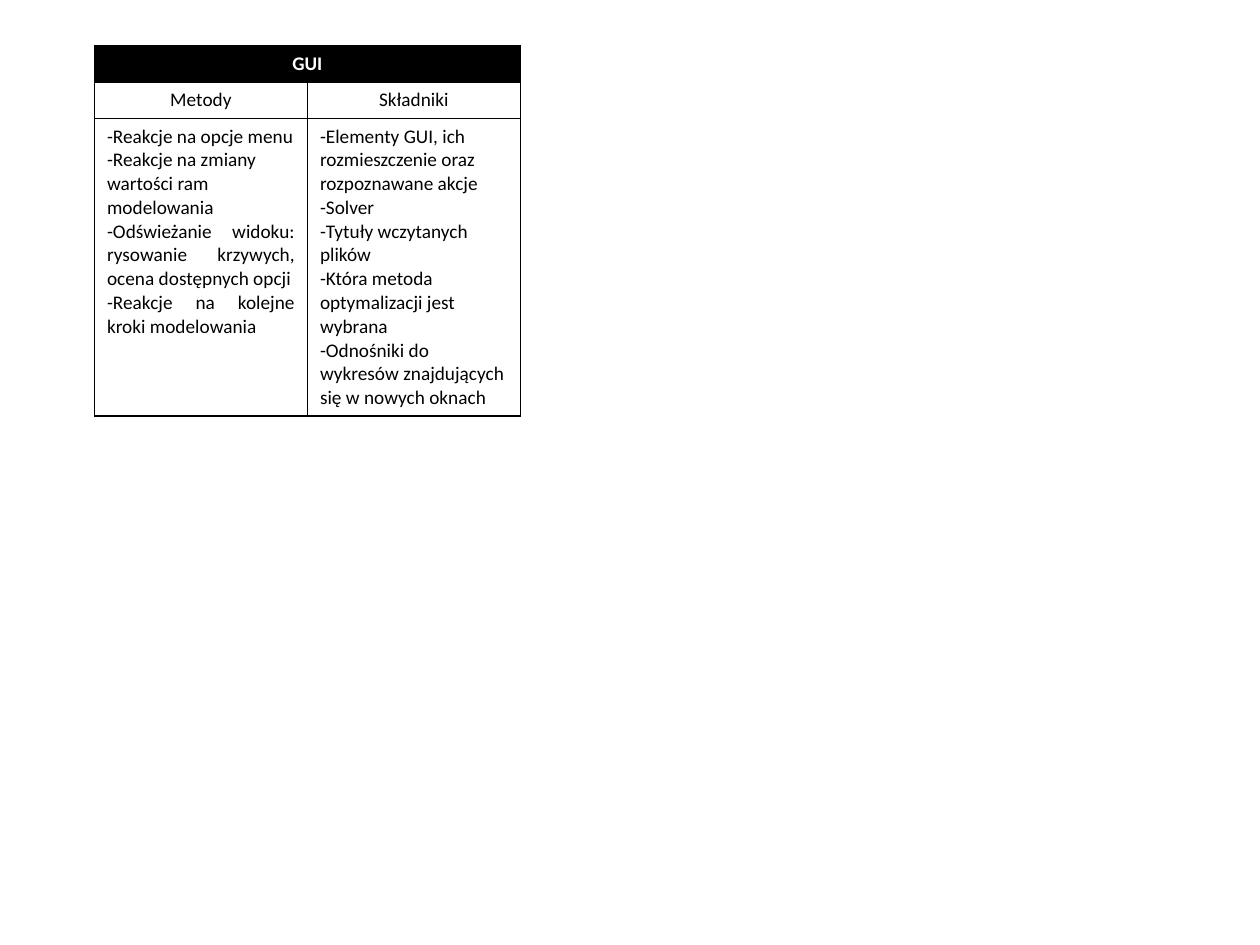
from dataclasses import dataclass

import pptx
import pptx.dml.color
import pptx.enum.text
import pptx.oxml
import pptx.oxml.ns
import pptx.util
from pptx.util import Inches

BLACK, WHITE = "000000", "FFFFFF"
LEFT = pptx.enum.text.PP_ALIGN.LEFT
CENTER = pptx.enum.text.PP_ALIGN.CENTER
JUSTIFY = pptx.enum.text.PP_ALIGN.JUSTIFY
TOP = pptx.enum.text.MSO_ANCHOR.TOP
MIDDLE = pptx.enum.text.MSO_ANCHOR.MIDDLE

COLUMN_WIDTH = 1.69
ROW_HEIGHTS = (0.29, 0.29, 2.36)


@dataclass
class Entry:
    row: int
    column: int
    lines: list[tuple[str, pptx.enum.text.PP_ALIGN]]
    anchor: pptx.enum.text.MSO_ANCHOR = TOP
    color: str = BLACK
    background: str = WHITE
    bold: bool = False
    outer_width: float = 1


ENTRIES = [
    Entry(0, 0, [("GUI", CENTER)], MIDDLE, WHITE, BLACK, True, 0.75),
    Entry(1, 0, [("Metody", CENTER)], MIDDLE),
    Entry(1, 1, [("Składniki", CENTER)], MIDDLE),
    Entry(2, 0, [
        ("-Reakcje na opcje menu", LEFT),
        ("-Reakcje na zmiany wartości ram modelowania", LEFT),
        ("-Odświeżanie widoku: rysowanie krzywych, ocena dostępnych opcji", JUSTIFY),
        ("-Reakcje na kolejne kroki modelowania", JUSTIFY),
    ]),
    Entry(2, 1, [
        ("-Elementy GUI, ich rozmieszczenie oraz rozpoznawane akcje", LEFT),
        ("-Solver", LEFT),
        ("-Tytuły wczytanych plików", LEFT),
        ("-Która metoda optymalizacji jest wybrana", LEFT),
        ("-Odnośniki do wykresów znajdujących się w nowych oknach", LEFT),
    ]),
]


def rgb(value: str) -> pptx.dml.color.RGBColor:
    return pptx.dml.color.RGBColor.from_string(value)


def draw_borders(cell: pptx.table._Cell, outer_width: float) -> None:
    properties = cell._tc.get_or_add_tcPr()
    widths = {"lnL": outer_width, "lnR": outer_width, "lnT": outer_width, "lnB": 1}
    for position, (side, width) in enumerate(widths.items()):
        properties.insert(position, pptx.oxml.parse_xml(
            f'<a:{side} {pptx.oxml.ns.nsdecls("a")} w="{pptx.util.Pt(width)}">'
            f'<a:solidFill><a:srgbClr val="{BLACK}"/></a:solidFill>'
            f'<a:prstDash val="solid"/></a:{side}>'))


def fill_cell(cell: pptx.table._Cell, entry: Entry) -> None:
    cell.fill.solid()
    cell.fill.fore_color.rgb = rgb(entry.background)
    cell.vertical_anchor = entry.anchor
    cell.text_frame.text = "\n".join(text for text, _ in entry.lines)
    for paragraph, (_, alignment) in zip(cell.text_frame.paragraphs, entry.lines):
        paragraph.alignment = alignment
        for run in paragraph.runs:
            run.font.name = "Calibri"
            run.font.size = pptx.util.Pt(11)
            run.font.bold = entry.bold
            run.font.color.rgb = rgb(entry.color)


def main() -> None:
    presentation = pptx.Presentation()
    presentation.slide_width = Inches(10)
    presentation.slide_height = Inches(7.5)
    slide = presentation.slides.add_slide(presentation.slide_layouts[6])

    # Class table: header, column titles, details
    gui_table = slide.shapes.add_table(
        len(ROW_HEIGHTS), 2, Inches(0.75), Inches(0.36),
        Inches(2 * COLUMN_WIDTH), Inches(sum(ROW_HEIGHTS))).table
    for column in gui_table.columns:
        column.width = Inches(COLUMN_WIDTH)
    for row, height in zip(gui_table.rows, ROW_HEIGHTS):
        row.height = Inches(height)
    gui_table.cell(0, 0).merge(gui_table.cell(0, 1))

    # Cell contents; the merged header needs borders on both of its cells
    for entry in ENTRIES:
        fill_cell(gui_table.cell(entry.row, entry.column), entry)
        draw_borders(gui_table.cell(entry.row, entry.column), entry.outer_width)
    draw_borders(gui_table.cell(0, 1), ENTRIES[0].outer_width)

    presentation.save("out.pptx")


if __name__ == "__main__":
    main()
